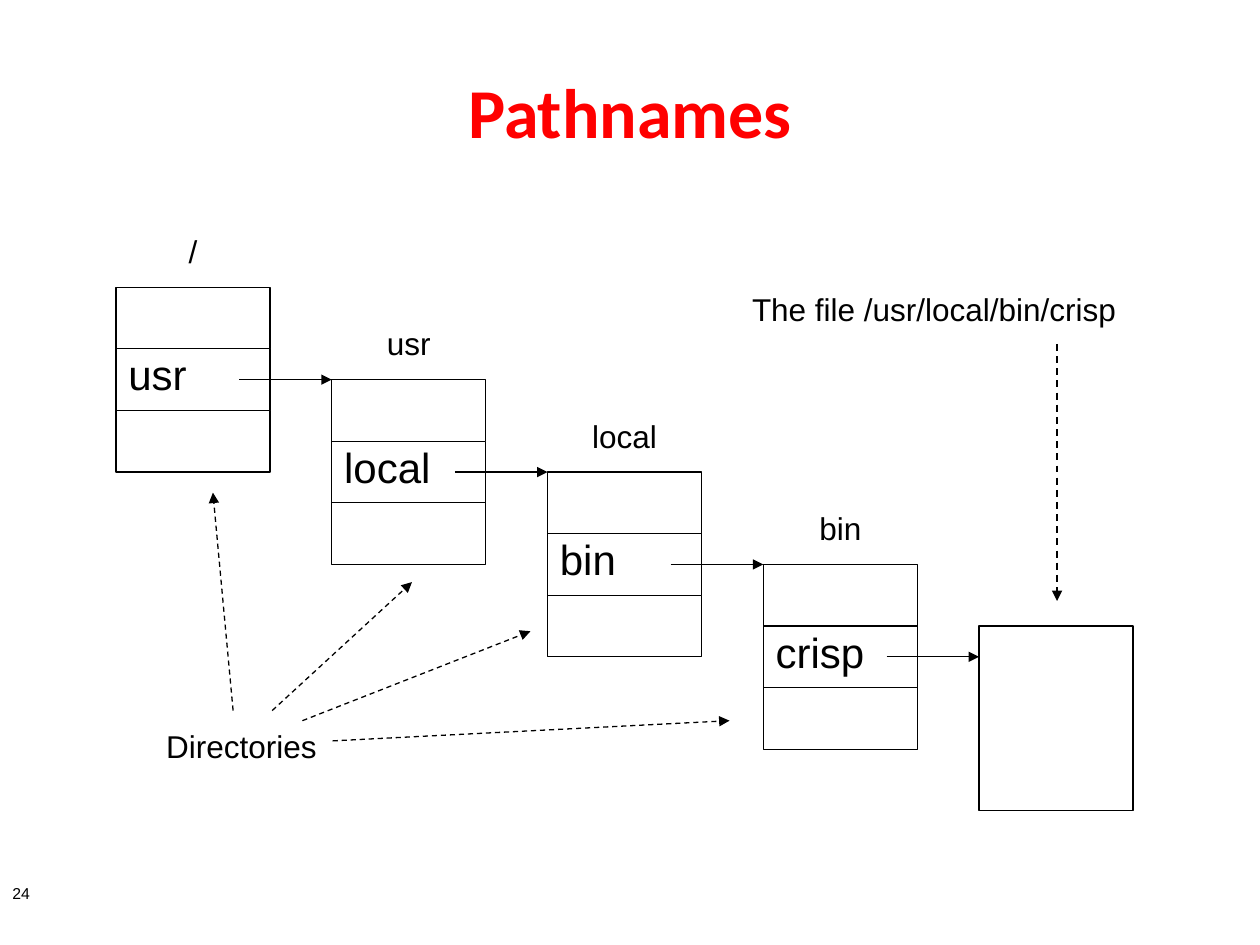
from dataclasses import dataclass

import pptx
import pptx.dml.color
import pptx.enum.dml
import pptx.enum.shapes
import pptx.enum.text
import pptx.oxml
import pptx.oxml.ns
import pptx.util
from pptx.util import Inches

BLACK = pptx.dml.color.RGBColor(0, 0, 0)
WHITE = pptx.dml.color.RGBColor(255, 255, 255)
RED = pptx.dml.color.RGBColor(255, 0, 0)

ALIGN = pptx.enum.text.PP_ALIGN
ANCHOR = pptx.enum.text.MSO_ANCHOR

# Each directory stands one step right of and below the one before.
LEFT, TOP = 0.92, 2.28
STEP_X, STEP_Y = 6.85 / 4, 2.2 / 3
CELL_WIDTH, CELL_HEIGHT = STEP_X / 1.4, STEP_Y / 1.5
ROWS = 3


@dataclass
class Directory:
    name: str
    entry: str


@dataclass
class Label:
    text: str
    left: float
    top: float
    width: float
    height: float
    size: float = 18
    align: ALIGN = ALIGN.LEFT
    anchor: ANCHOR = ANCHOR.TOP
    font: str = "Arial"
    color: pptx.dml.color.RGBColor = BLACK
    bold: bool = False


@dataclass
class Arrow:
    x1: float
    y1: float
    x2: float
    y2: float
    width: float = 0.75
    dashed: bool = False


DIRECTORIES = [
    Directory("/", "usr"),
    Directory("usr", "local"),
    Directory("local", "bin"),
    Directory("bin", "crisp"),
]

LABELS = [
    Label("Pathnames", 0.69, 0.4, 8.62, 0.96, 40, ALIGN.CENTER, ANCHOR.MIDDLE,
          "Calibri", RED, True),
    Label("24", 0, 6.83, 2.33, 0.52, 9, anchor=ANCHOR.MIDDLE),
    Label("The file /usr/local/bin/crisp", 5.87, 2.25, 3.31, 0.4),
    Label("Directories", 1.22, 5.72, 1.81, 0.4),
]

POINTERS = [
    Arrow(8.39, 2.73, 8.39, 4.77, 1, True),
    Arrow(2.64, 5.88, 5.79, 5.72, dashed=True),
    Arrow(2.4, 5.72, 4.21, 5.01, dashed=True),
    Arrow(2.16, 5.64, 3.27, 4.62, dashed=True),
    Arrow(1.85, 5.64, 1.69, 3.91, dashed=True),
]


def draw_label(slide: pptx.slide.Slide, label: Label) -> None:
    shape = slide.shapes.add_textbox(Inches(label.left), Inches(label.top),
                                     Inches(label.width), Inches(label.height))
    frame = shape.text_frame
    frame.word_wrap = True
    frame.vertical_anchor = label.anchor
    paragraph = frame.paragraphs[0]
    paragraph.text = label.text
    paragraph.alignment = label.align
    paragraph.font.name = label.font
    paragraph.font.size = pptx.util.Pt(label.size)
    paragraph.font.bold = label.bold
    paragraph.font.color.rgb = label.color


def draw_box(slide: pptx.slide.Slide, left: float, top: float, height: float,
             text: str = "") -> None:
    shape = slide.shapes.add_shape(
        pptx.enum.shapes.MSO_SHAPE.RECTANGLE, Inches(left), Inches(top),
        Inches(CELL_WIDTH), Inches(height))
    shape.shadow.inherit = False
    shape.fill.solid()
    shape.fill.fore_color.rgb = WHITE
    shape.line.color.rgb = BLACK
    shape.line.width = pptx.util.Pt(0.75)
    if text:
        frame = shape.text_frame
        frame.margin_top = 0
        frame.vertical_anchor = ANCHOR.TOP
        paragraph = frame.paragraphs[0]
        paragraph.text = text
        paragraph.alignment = ALIGN.LEFT
        paragraph.font.name = "Arial"
        paragraph.font.size = pptx.util.Pt(24)
        paragraph.font.color.rgb = BLACK


def draw_arrow(slide: pptx.slide.Slide, arrow: Arrow) -> None:
    connector = slide.shapes.add_connector(
        pptx.enum.shapes.MSO_CONNECTOR.STRAIGHT,
        Inches(arrow.x1), Inches(arrow.y1), Inches(arrow.x2), Inches(arrow.y2))
    line = connector.line
    line.color.rgb = BLACK
    line.width = pptx.util.Pt(arrow.width)
    if arrow.dashed:
        line.dash_style = pptx.enum.dml.MSO_LINE.DASH
    properties = connector._element.spPr
    tail = pptx.oxml.parse_xml(
        f'<a:tailEnd {pptx.oxml.ns.nsdecls("a")} type="triangle"/>')
    line._get_or_add_ln().append(tail)
    properties.append(pptx.oxml.parse_xml(
        f'<a:effectLst {pptx.oxml.ns.nsdecls("a")}/>'))


def draw_directory(slide: pptx.slide.Slide, index: int,
                   directory: Directory) -> None:
    """Draw the name, the three cells and the arrow to the next item."""
    left = LEFT + index * STEP_X
    top = TOP + index * STEP_Y
    draw_label(slide, Label(directory.name, left, top - CELL_HEIGHT,
                            CELL_WIDTH, CELL_HEIGHT, align=ALIGN.CENTER))
    for row, text in enumerate(("", directory.entry, "")):
        draw_box(slide, left, top + row * CELL_HEIGHT, CELL_HEIGHT, text)
    middle = top + ROWS * CELL_HEIGHT / 2
    draw_arrow(slide, Arrow(left + 0.8 * CELL_WIDTH, middle,
                            left + STEP_X, middle))


def main() -> None:
    presentation = pptx.Presentation()
    presentation.slide_width = Inches(10)
    presentation.slide_height = Inches(7.5)
    slide = presentation.slides.add_slide(presentation.slide_layouts[6])

    for index, directory in enumerate(DIRECTORIES):
        draw_directory(slide, index, directory)
    last = len(DIRECTORIES)
    file_top = TOP + (last - 1) * STEP_Y + CELL_HEIGHT
    draw_box(slide, LEFT + last * STEP_X, file_top, ROWS * CELL_HEIGHT)
    for label in LABELS:
        draw_label(slide, label)
    for pointer in POINTERS:
        draw_arrow(slide, pointer)

    presentation.save("out.pptx")


if __name__ == "__main__":
    main()
